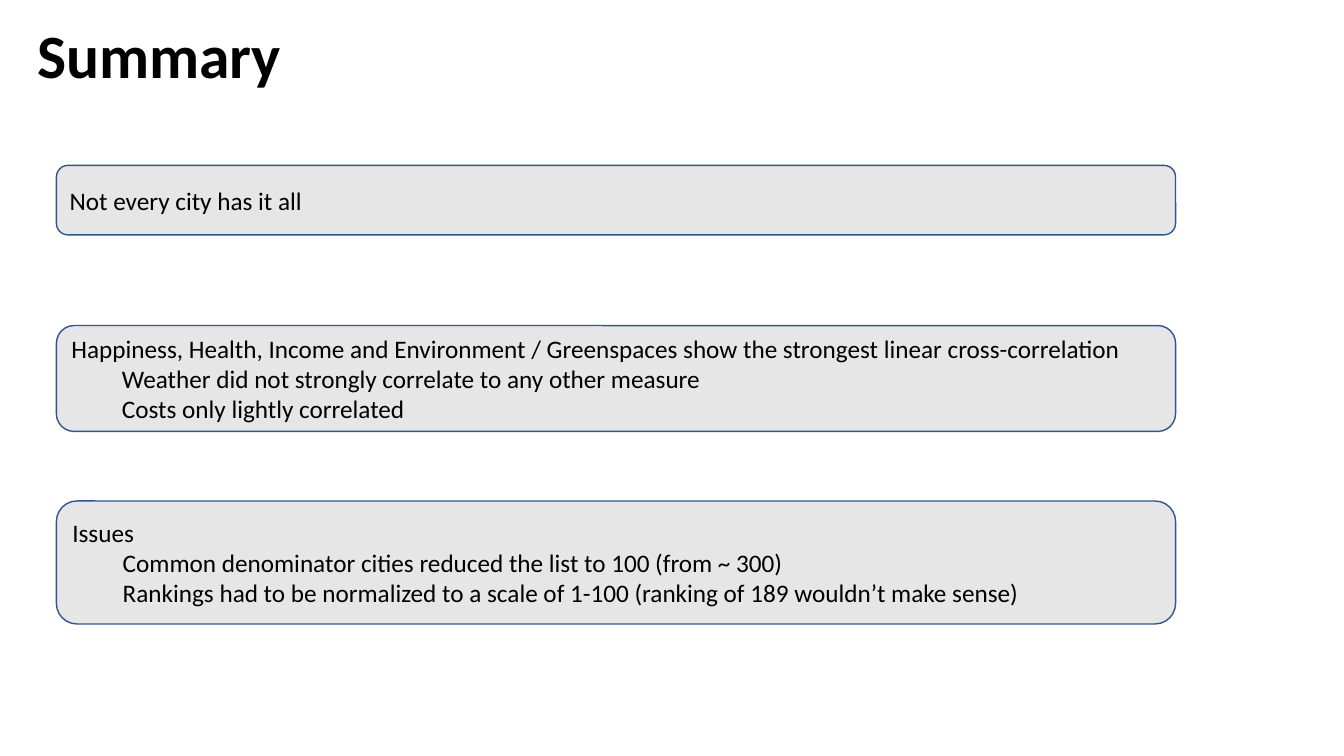
import dataclasses

import pptx
import pptx.dml.color
import pptx.enum.shapes
import pptx.enum.text
import pptx.util
from pptx.util import Inches


@dataclasses.dataclass(frozen=True)
class Theme:
    """Colours, font and type sizes of the slide."""
    font: str = "Calibri"
    text: str = "000000"
    panel_fill: str = "E7E6E6"
    panel_line: str = "325491"
    title_size: int = 44
    body_size: int = 18
    line_width: int = 1


THEME = Theme()
PANEL_LEFT, PANEL_WIDTH = 0.56, 11.1

# Top, height, heading and indented points of each panel.
PANELS = [
    (1.64, 0.69, "Not every city has it all", []),
    (3.23, 1.05,
     "Happiness, Health, Income and Environment / Greenspaces "
     "show the strongest linear cross-correlation",
     ["Weather did not strongly correlate to any other measure",
      "Costs only lightly correlated"]),
    (4.97, 1.22, "Issues",
     ["Common denominator cities reduced the list to 100 (from ~ 300)",
      "Rankings had to be normalized to a scale of 1-100 "
      "(ranking of 189 wouldn’t make sense)"]),
]


def colour(value):
    """Turn a hexadecimal string into a colour."""
    return pptx.dml.color.RGBColor.from_string(value)


def write_paragraph(paragraph, text, *, size, bold=False, level=0, spacing=None):
    """Fill a left-aligned paragraph with formatted text."""
    paragraph.alignment = pptx.enum.text.PP_ALIGN.LEFT
    paragraph.level = level
    paragraph.line_spacing = spacing
    run = paragraph.add_run()
    run.text = text
    run.font.name = THEME.font
    run.font.size = pptx.util.Pt(size)
    run.font.bold = bold
    run.font.color.rgb = colour(THEME.text)


def prepare_frame(shape):
    """Wrap and vertically centre the text of a shape."""
    frame = shape.text_frame
    frame.word_wrap = True
    frame.vertical_anchor = pptx.enum.text.MSO_ANCHOR.MIDDLE
    return frame


def add_title(slide, text):
    """Add the slide heading."""
    box = slide.shapes.add_textbox(
        Inches(0.27), Inches(0.17), Inches(11.5), Inches(0.83))
    frame = prepare_frame(box)
    write_paragraph(frame.paragraphs[0], text, size=THEME.title_size,
                    bold=True, spacing=0.9)


def add_panel(slide, top, height, heading, points):
    """Add a rounded panel with a heading and indented points."""
    panel = slide.shapes.add_shape(
        pptx.enum.shapes.MSO_SHAPE.ROUNDED_RECTANGLE,
        Inches(PANEL_LEFT), Inches(top), Inches(PANEL_WIDTH), Inches(height))
    panel.shadow.inherit = False
    panel.fill.solid()
    panel.fill.fore_color.rgb = colour(THEME.panel_fill)
    panel.line.color.rgb = colour(THEME.panel_line)
    panel.line.width = pptx.util.Pt(THEME.line_width)
    frame = prepare_frame(panel)
    write_paragraph(frame.paragraphs[0], heading, size=THEME.body_size)
    for point in points:
        write_paragraph(frame.add_paragraph(), point, size=THEME.body_size, level=1)


def main():
    """Build and save the summary slide."""
    presentation = pptx.Presentation()
    presentation.slide_width = Inches(13.33)
    presentation.slide_height = Inches(7.5)
    slide = presentation.slides.add_slide(presentation.slide_layouts[6])
    add_title(slide, "Summary")
    for panel in PANELS:
        add_panel(slide, *panel)
    presentation.save("out.pptx")


main()
